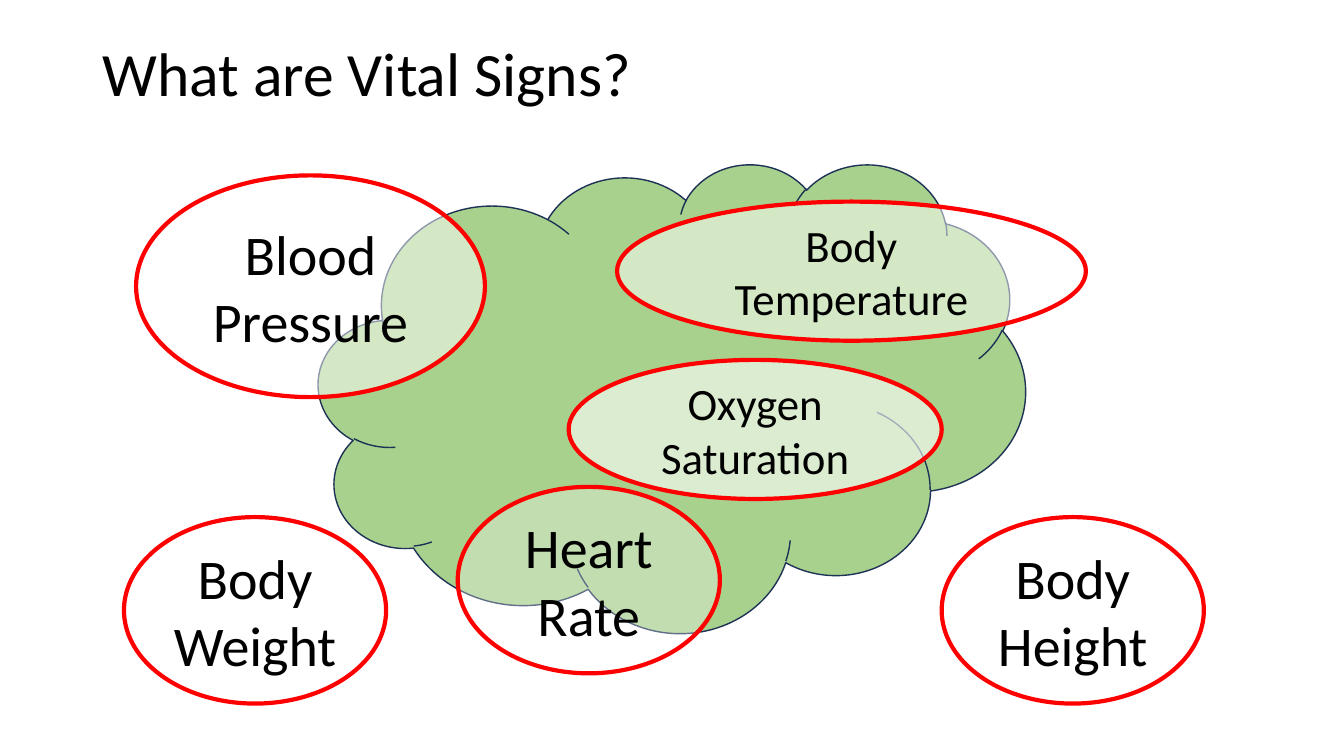
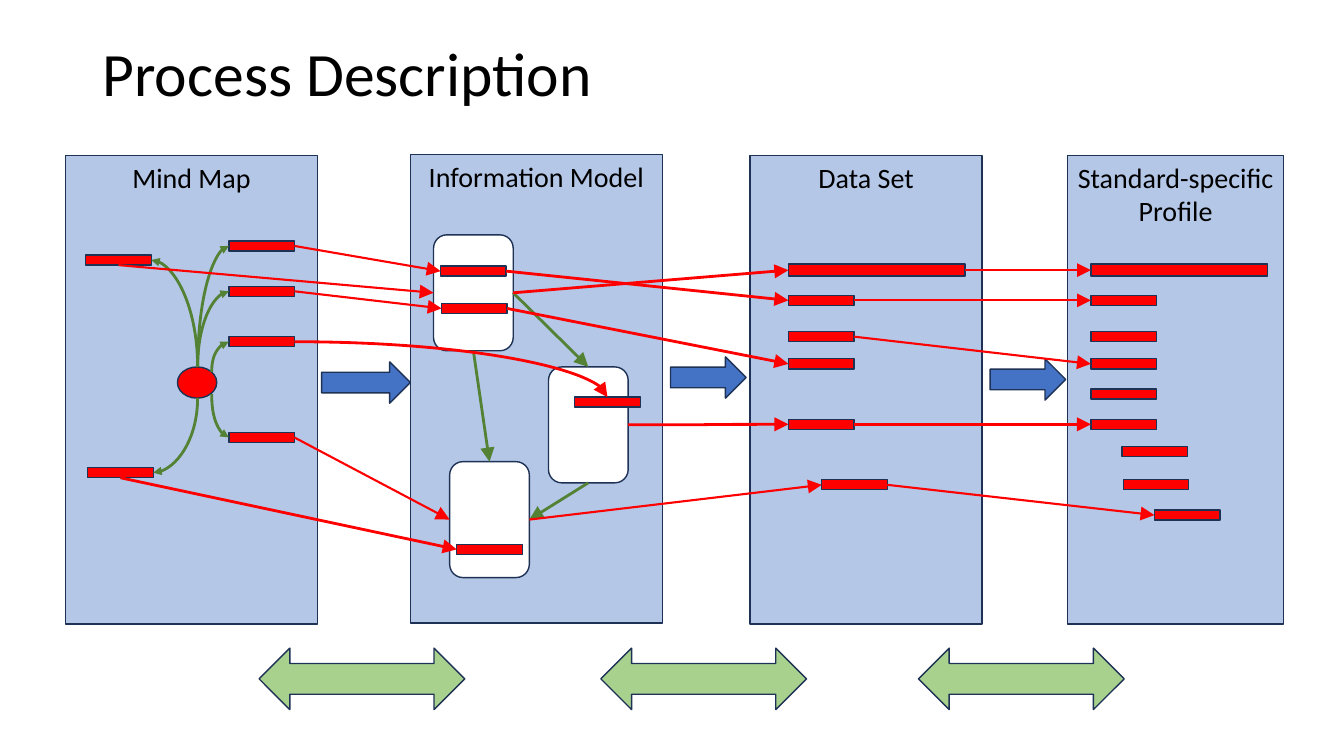
from lxml import etree
from pptx import Presentation
from pptx.dml.color import RGBColor
from pptx.enum.shapes import MSO_CONNECTOR as Wire, MSO_SHAPE as Shape
from pptx.enum.text import MSO_ANCHOR as Anchor, PP_ALIGN as Align
from pptx.oxml.ns import qn
from pptx.util import Inches, Pt

FONT = "Calibri"
BLACK, WHITE, RED = "000000", "FFFFFF", "FF0000"
NAVY, BLUE, PALE_BLUE = "1E3256", "4472C4", "B4C7E7"
GREEN, DARK_GREEN = "A9D18E", "548235"
TOP, LEFT, BOTTOM, RIGHT = range(4)
BAR_WIDTH, BAR_HEIGHT = 0.65, 0.1


def rgb(hex_color):
    return RGBColor.from_string(hex_color)


def write(frame, text, size=20, color=BLACK, align=Align.CENTER,
          anchor=Anchor.MIDDLE, spacing=None):
    frame.word_wrap = True
    frame.vertical_anchor = anchor
    paragraph = frame.paragraphs[0]
    paragraph.alignment = align
    paragraph.line_spacing = spacing
    run = paragraph.add_run()
    run.text = text
    run.font.name = FONT
    run.font.size = Pt(size)
    run.font.color.rgb = rgb(color)


def side_middle(shape, side):
    """Return the middle of one side of a shape, in inches."""
    across, down = {TOP: (0.5, 0), LEFT: (0, 0.5),
                    BOTTOM: (0.5, 1), RIGHT: (1, 0.5)}[side]
    return ((shape.left + across * shape.width) / Inches(1),
            (shape.top + down * shape.height) / Inches(1))


class Deck:
    """Holds the presentation, its style and the current slide."""

    def __init__(self):
        self.file = Presentation()
        self.file.slide_width = Inches(13.33)
        self.file.slide_height = Inches(7.5)
        self.shapes = None

    def slide(self, title):
        self.shapes = self.file.slides.add_slide(self.file.slide_layouts[6]).shapes
        box = self.shapes.add_textbox(*map(Inches, (0.92, 0.29, 11.5, 0.94)))
        write(box.text_frame, title, size=44, align=Align.LEFT, spacing=0.9)

    def shape(self, kind, left, top, width, height, fill, line=NAVY, weight=1,
              opacity=None):
        shape = self.shapes.add_shape(kind, *map(Inches, (left, top, width, height)))
        shape.shadow.inherit = False
        shape.fill.solid()
        shape.fill.fore_color.rgb = rgb(fill)
        shape.line.color.rgb = rgb(line)
        shape.line.width = Pt(weight)
        if opacity is not None:
            color = shape.element.spPr.find(qn("a:solidFill"))[0]
            etree.SubElement(color, qn("a:alpha")).set("val", str(opacity * 1000))
        return shape

    def sign(self, text, left, top, width, height, opacity, size=40):
        oval = self.shape(Shape.OVAL, left, top, width, height, WHITE, RED, 3, opacity)
        write(oval.text_frame, text, size=size)

    def panel(self, heading, left, top, width):
        panel = self.shape(Shape.RECTANGLE, left, top, width, 4.65, PALE_BLUE)
        write(panel.text_frame, heading, anchor=Anchor.TOP)

    def bar(self, left, top, width=BAR_WIDTH, height=BAR_HEIGHT):
        return self.shape(Shape.RECTANGLE, left, top, width, height, RED)

    def arrow(self, kind, start, end, color, weight, head="lg"):
        arrow = self.shapes.add_connector(kind, *map(Inches, (*start, *end)))
        arrow.line.color.rgb = rgb(color)
        arrow.line.width = Pt(weight)
        properties = arrow.element.spPr
        tail = etree.SubElement(properties.find(qn("a:ln")), qn("a:tailEnd"))
        for key, value in (("type", "triangle"), ("w", head), ("len", head)):
            tail.set(key, value)
        etree.SubElement(properties, qn("a:effectLst"))
        return arrow

    def link(self, source, source_side, target, target_side, color=RED, weight=1.5):
        """Join two shapes by a straight arrow."""
        arrow = self.arrow(Wire.STRAIGHT, side_middle(source, source_side),
                           side_middle(target, target_side), color, weight)
        arrow.begin_connect(source, source_side)
        arrow.end_connect(target, target_side)

    def bend(self, start, end, color, upright, head="lg"):
        """Draw a quarter-turn arrow; an upright one leaves vertically."""
        dx, dy = end[0] - start[0], end[1] - start[1]
        width, height = abs(dx), abs(dy)
        flip_h, flip_v, angle = dx < 0, dy < 0, 0
        if upright:
            width, height = height, width
            same_sign = dx * dy > 0
            flip_h, flip_v = (dy < 0) != same_sign, (dx > 0) != same_sign
            angle = 270 if same_sign else 90
        left = (start[0] + end[0] - width) / 2
        top = (start[1] + end[1] - height) / 2
        arrow = self.arrow(Wire.CURVE, (left, top), (left + width, top + height),
                           color, 2, head)
        properties = arrow.element.spPr
        properties.find(qn("a:prstGeom")).set("prst", "curvedConnector2")
        frame = properties.find(qn("a:xfrm"))
        for key, value in (("rot", angle * 60000), ("flipH", int(flip_h)),
                           ("flipV", int(flip_v))):
            if value:
                frame.set(key, str(value))


def vital_signs(deck):
    deck.slide("What are Vital Signs?")
    deck.shape(Shape.CLOUD, 3.16, 1.62, 7.01, 4.65, GREEN)
    for sign in (
        ("Blood Pressure", 1.35, 1.74, 3.46, 2.2, 50),
        ("Body Weight", 1.23, 5.13, 2.6, 1.85, 30),
        ("Body Height", 9.34, 5.13, 2.6, 1.85, 30),
        ("Oxygen Saturation", 5.64, 3.57, 3.7, 1.38, 60, 32),
        ("Body Temperature", 6.12, 2, 4.65, 1.38, 50, 32),
        ("Heart Rate", 4.54, 4.83, 2.6, 1.85, 30),
    ):
        deck.sign(*sign)


def process(deck):
    deck.slide("Process Description")
    for panel in (("Mind Map", 0.65, 1.54, 2.5), ("Information Model", 4.07, 1.53, 2.5),
                  ("Data Set", 7.44, 1.54, 2.3),
                  ("Standard-specific Profile", 10.59, 1.54, 2.14)):
        deck.panel(*panel)
    for left, top, width in ((3.19, 3.59, 0.88), (6.65, 3.54, 0.75), (9.82, 3.56, 0.75)):
        deck.shape(Shape.RIGHT_ARROW, left, top, width, 0.41, BLUE)
    for left in (2.57, 5.96, 9.11):
        deck.shape(Shape.LEFT_RIGHT_ARROW, left, 6.43, 2.04, 0.61, GREEN)

    first, second, third = [
        deck.shape(Shape.ROUNDED_RECTANGLE, left, top, 0.79, 1.15, WHITE)
        for left, top in ((4.3, 2.33), (5.44, 3.64), (4.46, 4.58))]
    for ends in ((first, RIGHT, second, TOP), (first, BOTTOM, third, TOP),
                 (second, BOTTOM, third, RIGHT)):
        deck.link(*ends, color=DARK_GREEN, weight=2)

    deck.shape(Shape.OVAL, 1.76, 3.64, 0.39, 0.31, RED)
    right_topics = [deck.bar(2.27, top) for top in (2.39, 2.84, 3.34, 4.29)]
    upper_left, lower_left = deck.bar(0.85, 2.53), deck.bar(0.87, 4.64)
    hub_top, hub_bottom = (1.96, 3.64), (1.96, 3.95)
    hub_upper_right, hub_lower_right = (2.1, 3.69), (2.1, 3.91)
    for start, topic, side in (
        (hub_top, right_topics[0], LEFT), (hub_top, right_topics[1], LEFT),
        (hub_upper_right, right_topics[2], LEFT), (hub_lower_right, right_topics[3], LEFT),
        (hub_top, upper_left, RIGHT), (hub_bottom, lower_left, RIGHT),
    ):
        deck.bend(start, side_middle(topic, side), DARK_GREEN, upright=True, head="med")

    first_upper, first_lower, second_item, third_item = [
        deck.bar(left, top)
        for left, top in ((4.37, 2.64), (4.38, 3.01), (5.7, 3.94), (4.53, 5.4))]
    deck.bend(side_middle(right_topics[2], RIGHT), side_middle(second_item, TOP),
              RED, upright=False)

    data, profile = [
        [deck.bar(left, 2.62, 1.75, 0.12)]
        + [deck.bar(left, top) for top in (2.93, 3.29, 3.56, 4.16)]
        for left in (7.82, 10.82)]
    data_detail = deck.bar(8.15, 4.76)
    for left, top in ((10.82, 3.86), (11.13, 4.43), (11.14, 4.76)):
        deck.bar(left, top)
    profile_detail = deck.bar(11.45, 5.06)

    for source, target in ((second, data[4]), (data[4], profile[4])):
        deck.arrow(Wire.CURVE, side_middle(source, RIGHT), side_middle(target, LEFT), RED, 2)
    deck.link(upper_left, BOTTOM, first, LEFT)
    deck.link(lower_left, BOTTOM, third_item, LEFT, weight=2)
    for source, target, weight in (
        (right_topics[0], first_upper, 1.5), (right_topics[1], first_lower, 1.5),
        (right_topics[3], third, 1.5), (first, data[0], 2),
        (first_upper, data[1], 2), (first_lower, data[3], 2),
        (third, data_detail, 1.5), (data_detail, profile_detail, 1.5),
        (data[0], profile[0], 1.5), (data[1], profile[1], 1.5),
        (data[2], profile[3], 1.5),
    ):
        deck.link(source, RIGHT, target, LEFT, weight=weight)


def main():
    deck = Deck()
    vital_signs(deck)
    process(deck)
    deck.file.save("out.pptx")


if __name__ == "__main__":
    main()
